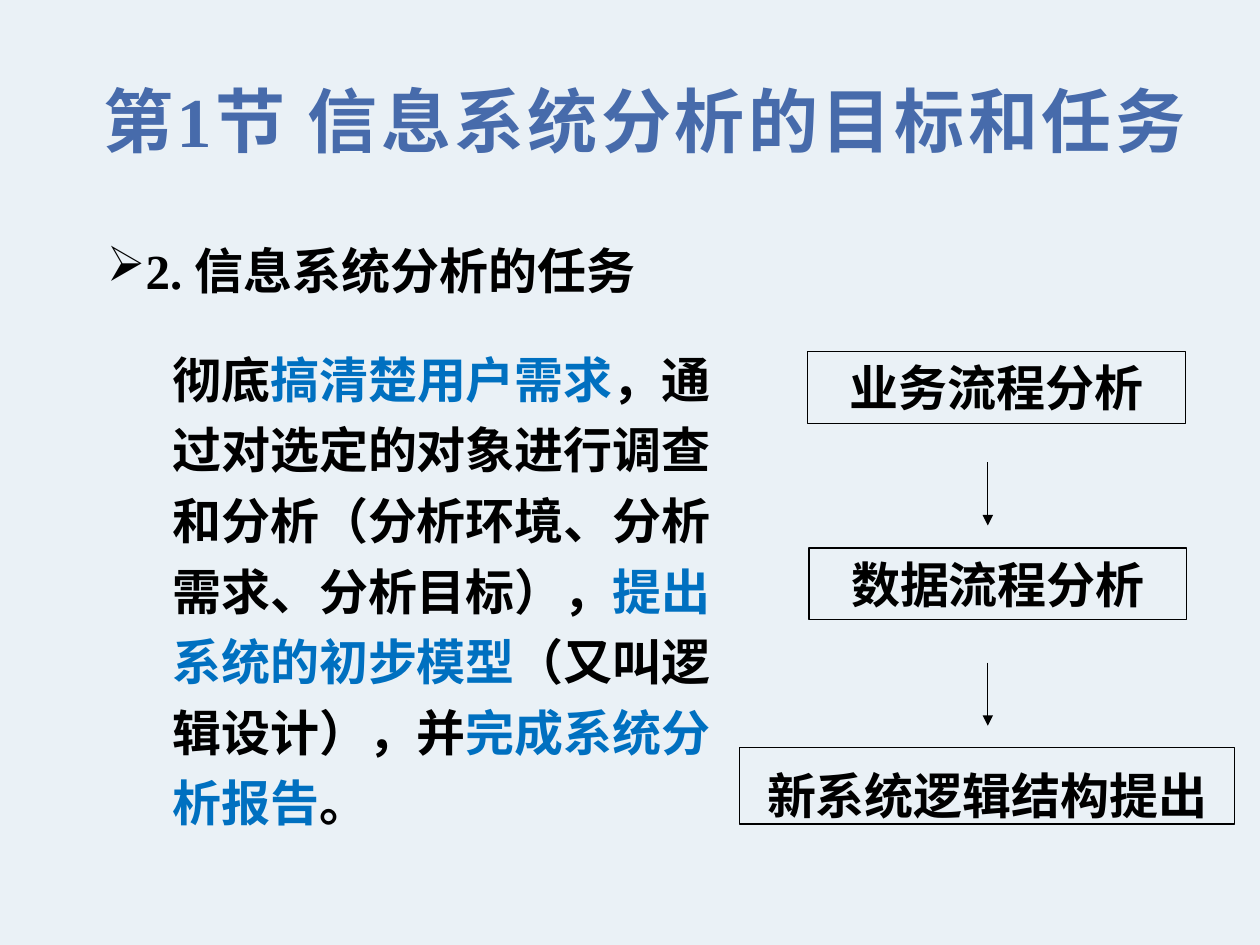
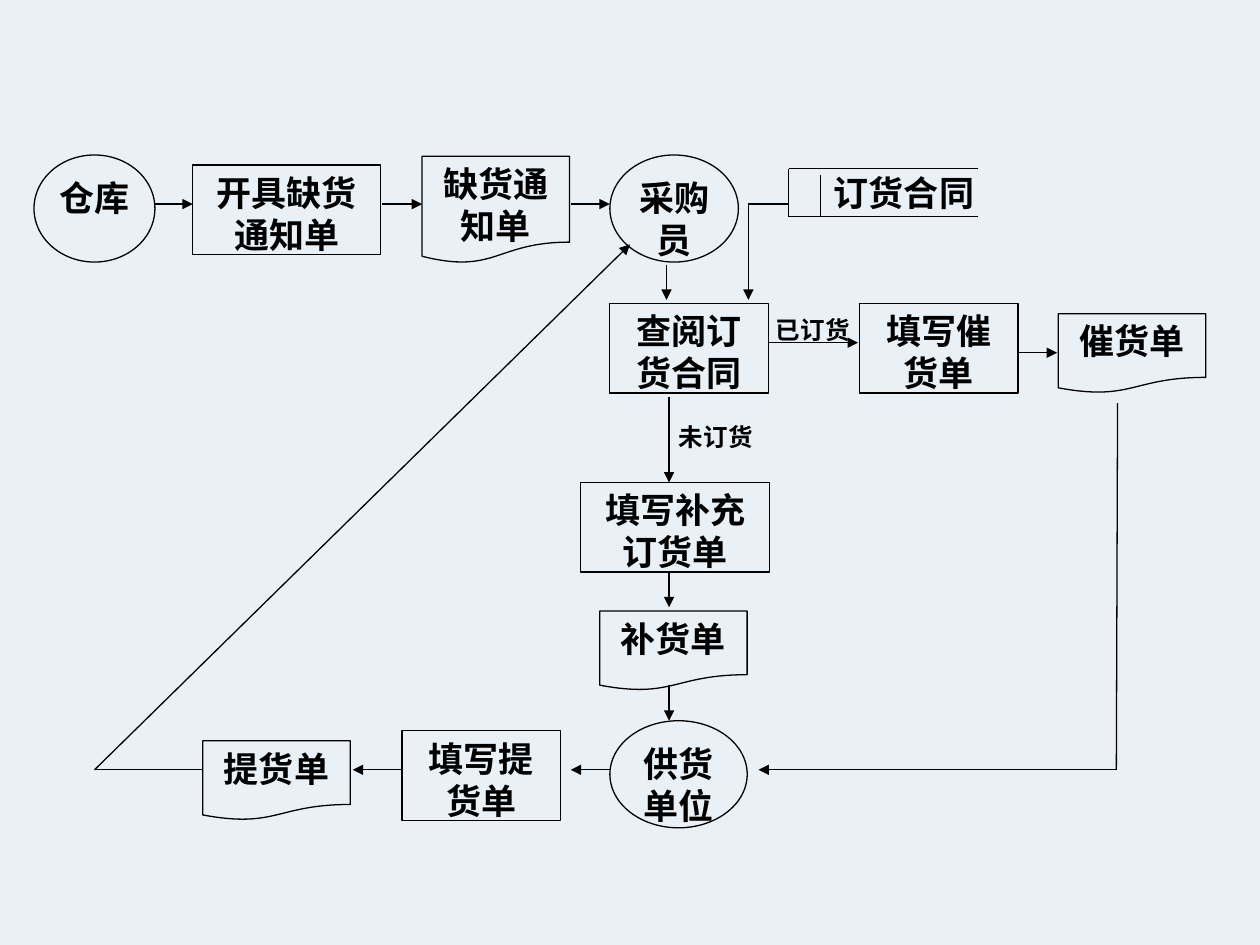
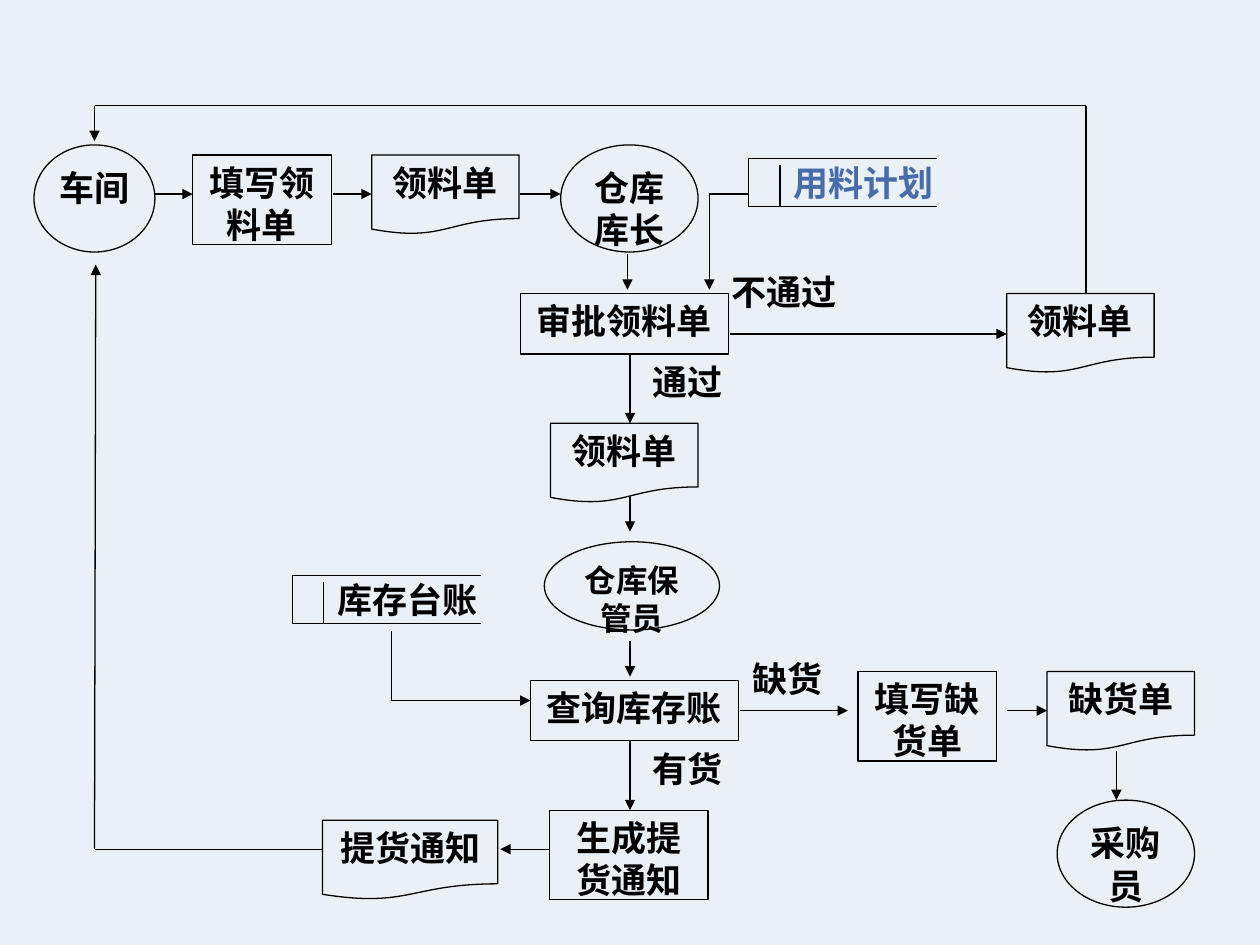
from lxml import etree
from pptx import Presentation
from pptx.dml.color import RGBColor
from pptx.enum.lang import MSO_LANGUAGE_ID
from pptx.enum.shapes import MSO_CONNECTOR, MSO_SHAPE
from pptx.enum.text import MSO_ANCHOR, PP_ALIGN
from pptx.oxml.ns import qn
from pptx.util import Inches, Pt

LEFT, CENTER, RIGHT = PP_ALIGN.LEFT, PP_ALIGN.CENTER, PP_ALIGN.RIGHT
TOP, MIDDLE = MSO_ANCHOR.TOP, MSO_ANCHOR.MIDDLE
RECTANGLE, ELLIPSE = MSO_SHAPE.RECTANGLE, MSO_SHAPE.OVAL
DOCUMENT = MSO_SHAPE.FLOWCHART_DOCUMENT
STRAIGHT = MSO_CONNECTOR.STRAIGHT
CHINESE = MSO_LANGUAGE_ID.SIMPLIFIED_CHINESE

FONT = "Times New Roman"
PAPER, INK, TITLE_BLUE, KEY_BLUE = "EAF1F6", "000000", "476BAB", "0070C0"


def color(value):
    return RGBColor.from_string(value)


def write(box, text, size=20, ink=INK, align=LEFT, anchor=TOP, side=0.1,
          line_spacing=None, bullet=None, tracking=None):
    """Fill a box with one paragraph; text is a string or (text, ink) pairs."""
    frame = box.text_frame
    frame.word_wrap = True
    frame.vertical_anchor = anchor
    frame.margin_left = frame.margin_right = Inches(side)
    frame.margin_top = frame.margin_bottom = Inches(0.05)
    para = frame.paragraphs[0]
    para.alignment = align
    if line_spacing:
        para.line_spacing = line_spacing
    if bullet:
        mark = etree.SubElement(para._p.get_or_add_pPr(), qn("a:buChar"))
        mark.set("char", bullet)
    for part, part_ink in [(text, ink)] if isinstance(text, str) else text:
        span = para.add_run()
        span.text = part
        font = span.font
        font.name, font.size, font.bold = FONT, Pt(size), True
        font.language_id = CHINESE
        font.color.rgb = color(part_ink)
        if tracking:
            span._r.get_or_add_rPr().set("spc", str(tracking * 100))


class FlowDeck:
    def __init__(self):
        self.deck = Presentation()
        self.deck.slide_width, self.deck.slide_height = Inches(10), Inches(7.5)
        self.page = None

    def new_page(self):
        self.page = self.deck.slides.add_slide(self.deck.slide_layouts[6])
        fill = self.page.background.fill
        fill.solid()
        fill.fore_color.rgb = color(PAPER)

    def text(self, text, left, top, width=0.79, height=0.39, **style):
        box = self.page.shapes.add_textbox(*map(Inches, (left, top, width, height)))
        write(box, text, **style)

    def node(self, kind, text, left, top, width, height, **style):
        box = self.page.shapes.add_shape(kind, *map(Inches, (left, top, width, height)))
        box.shadow.inherit = False
        box.fill.background()
        box.line.color.rgb = color(INK)
        box.line.width = Pt(0.75)
        write(box, text, align=CENTER, **style)

    def process(self, text, left, top, width=1.26, height=0.71, **style):
        self.node(RECTANGLE, text, left, top, width, height, **style)

    def document(self, text, left, top, width=1.17, height=0.63):
        self.node(DOCUMENT, text, left, top, width, height)

    def party(self, text, left, top, width=1.09, height=0.85, **style):
        self.node(ELLIPSE, text, left, top, width, height, side=0.06, **style)

    def line(self, start, end, arrow=False):
        connector = self.page.shapes.add_connector(STRAIGHT, *map(Inches, (*start, *end)))
        connector.line.color.rgb = color(INK)
        connector.line.width = Pt(0.75)
        properties = connector.element.find(qn("p:spPr"))
        if arrow:
            tip = etree.SubElement(properties.find(qn("a:ln")), qn("a:tailEnd"))
            tip.set("type", "triangle")
        etree.SubElement(properties, qn("a:effectLst"))

    def flow(self, *points):
        """Join the points by lines, with an arrowhead at the last one."""
        for number, (start, end) in enumerate(zip(points, points[1:]), 2):
            self.line(start, end, arrow=number == len(points))

    def store(self, text, left, top, ink=INK):
        """Data store: a bar open on the right with an inner rule."""
        self.text(text, left, top, 1.57, 0.31, align=RIGHT, ink=ink)
        upper, lower, right = top + 0.03, top + 0.41, left + 1.5
        self.line((left, upper), (left, lower))
        for level in (upper, lower):
            self.line((left, level), (right, level))
        self.line((left + 0.25, upper + 0.05), (left + 0.25, lower))


def task_page(show):
    show.new_page()
    show.text("第1节 信息系统分析的目标和任务", 0.43, 0.64, 9.37, 0.61, size=40,
              ink=TITLE_BLUE, align=CENTER, anchor=MIDDLE, tracking=2)
    show.text("2. 信息系统分析的任务", 0.75, 1.86, 4.46, 0.57, size=28, bullet="➢")
    show.text([("彻底", INK), ("搞清楚用户需求", KEY_BLUE),
               ("，通过对选定的对象进行调查和分析（分析环境、分析需求、分析目标），", INK),
               ("提出系统的初步模型", KEY_BLUE), ("（又叫逻辑设计），并", INK),
               ("完成系统分析报告", KEY_BLUE), ("。", INK)],
              1.27, 2.63, 4.8, 4.01, size=28, line_spacing=1.2)
    # Three steps of the analysis
    show.process("业务流程分析", 6.41, 2.79, 3, 0.57, size=28)
    show.process("数据流程分析", 6.42, 4.35, 3, 0.57, size=28)
    show.process("新系统逻辑结构提出", 5.87, 5.93, 3.93, 0.61, size=28, line_spacing=1.2)
    for top in (3.67, 5.26):
        show.flow((7.84, top), (7.84, top + 0.5))


def purchase_page(show):
    show.new_page()
    # Shortage notice reaches the buyer
    row = 1.62
    show.party("仓库", 0.27, 1.23, 0.96)
    show.process("开具缺货通知单", 1.53, 1.31, 1.49)
    show.document("缺货通知单", 3.35, 1.24, height=0.85)
    show.party("采购员", 4.84, 1.23, 1.02)
    for start, end in ((1.22, 1.53), (3.03, 3.35), (4.53, 4.84)):
        show.flow((start, row), (end, row))
    # Contract check
    show.store("订货合同", 6.26, 1.31)
    show.flow((6.26, row), (5.94, row), (5.94, 2.38))
    show.flow((5.29, 2.1), (5.29, 2.38))
    show.process("查阅订货合同", 4.84, 2.41)
    # Already ordered: reminder
    show.text("已订货", 6.06, 2.45, size=14)
    show.flow((6.1, 2.72), (6.81, 2.72))
    show.process("填写催货单", 6.82, 2.41)
    show.flow((8.07, 2.8), (8.39, 2.8))
    show.document("催货单", 8.4, 2.49)
    show.flow((8.87, 3.2), (8.86, 6.11), (6.02, 6.11))
    # Not ordered: supplementary order
    show.text("未订货", 5.29, 3.3, size=14)
    show.process("填写补充订货单", 4.61, 3.83, 1.5)
    show.document("补货单", 4.76, 4.85)
    for start, end in ((3.15, 3.83), (4.54, 4.82), (5.44, 5.72)):
        show.flow((5.31, start), (5.31, end))
    # Supplier returns the delivery note
    row = 6.11
    show.party("供货单位", 4.84, 5.72)
    show.process("填写提货单", 3.19, 5.8)
    show.document("提货单", 1.61, 5.88)
    for start, end in ((4.84, 4.53), (3.19, 2.8)):
        show.flow((start, row), (end, row))
    show.flow((1.61, row), (0.75, row), (5, 1.94))


def requisition_page(show):
    show.new_page()
    # Workshop fills in the requisition
    row = 1.54
    show.party("车间", 0.27, 1.15, 0.96)
    show.process("填写领料单", 1.53, 1.23, 1.1)
    show.document("领料单", 2.95, 1.23)
    show.party("仓库库长", 4.45, 1.15)
    for start, end in ((1.22, 1.53), (2.64, 2.95), (4.13, 4.45)):
        show.flow((start, row), (end, row))
    # Approval against the plan
    show.store("用料计划", 5.94, 1.23, ink=TITLE_BLUE)
    show.flow((5.94, row), (5.63, row), (5.63, 2.3))
    show.flow((4.98, 2.02), (4.98, 2.3))
    show.process("审批领料单", 4.13, 2.33, 1.65, 0.48)
    # Rejected: back to the workshop
    show.text("不通过", 5.71, 2.1, 1.1)
    show.flow((5.79, 2.65), (7.99, 2.65))
    show.document("领料单", 7.99, 2.33)
    show.flow((8.62, 2.33), (8.62, 0.84), (0.75, 0.84), (0.75, 1.12))
    # Approved: stock check
    show.text("通过", 5.08, 2.81)
    show.document("领料单", 4.37, 3.36)
    show.party("仓库保管员", 4.32, 4.3, 1.39, 0.7, size=18)
    show.store("库存台账", 2.32, 4.54)
    show.flow((3.11, 5.01), (3.11, 5.56), (4.21, 5.56))
    show.process("查询库存账", 4.21, 5.4, 1.65, 0.48)
    for start, end in ((2.81, 3.36), (3.94, 4.22), (5.09, 5.37), (5.88, 6.43)):
        show.flow((5, start), (5, end))
    # Out of stock: notify the buyer
    show.text("缺货", 5.87, 5.17)
    show.process("填写缺货单", 6.81, 5.33, 1.1)
    show.document("缺货单", 8.31, 5.33)
    for start, end in ((5.87, 6.73), (7.99, 8.31)):
        show.flow((start, 5.64), (end, 5.64))
    show.flow((8.86, 5.96), (8.86, 6.35))
    show.party("采购员", 8.39, 6.35)
    # In stock: notify the workshop
    show.text("有货", 5.08, 5.88)
    show.process("生成提货通知", 4.36, 6.43)
    show.flow((4.36, 6.74), (3.97, 6.74))
    show.document("提货通知", 2.56, 6.51, 1.39)
    show.flow((2.56, 6.74), (0.75, 6.74), (0.76, 2.1))


def main():
    show = FlowDeck()
    for build in (task_page, purchase_page, requisition_page):
        build(show)
    show.deck.save("out.pptx")


if __name__ == "__main__":
    main()
